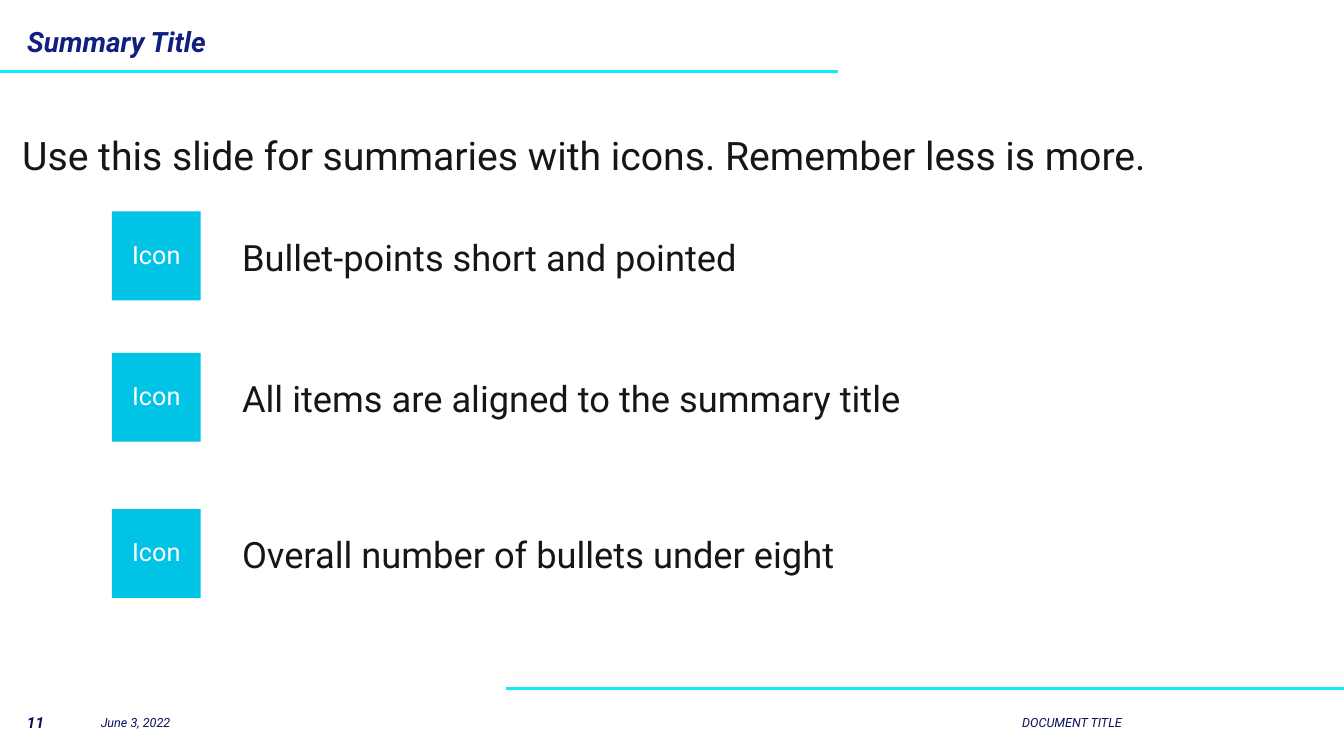
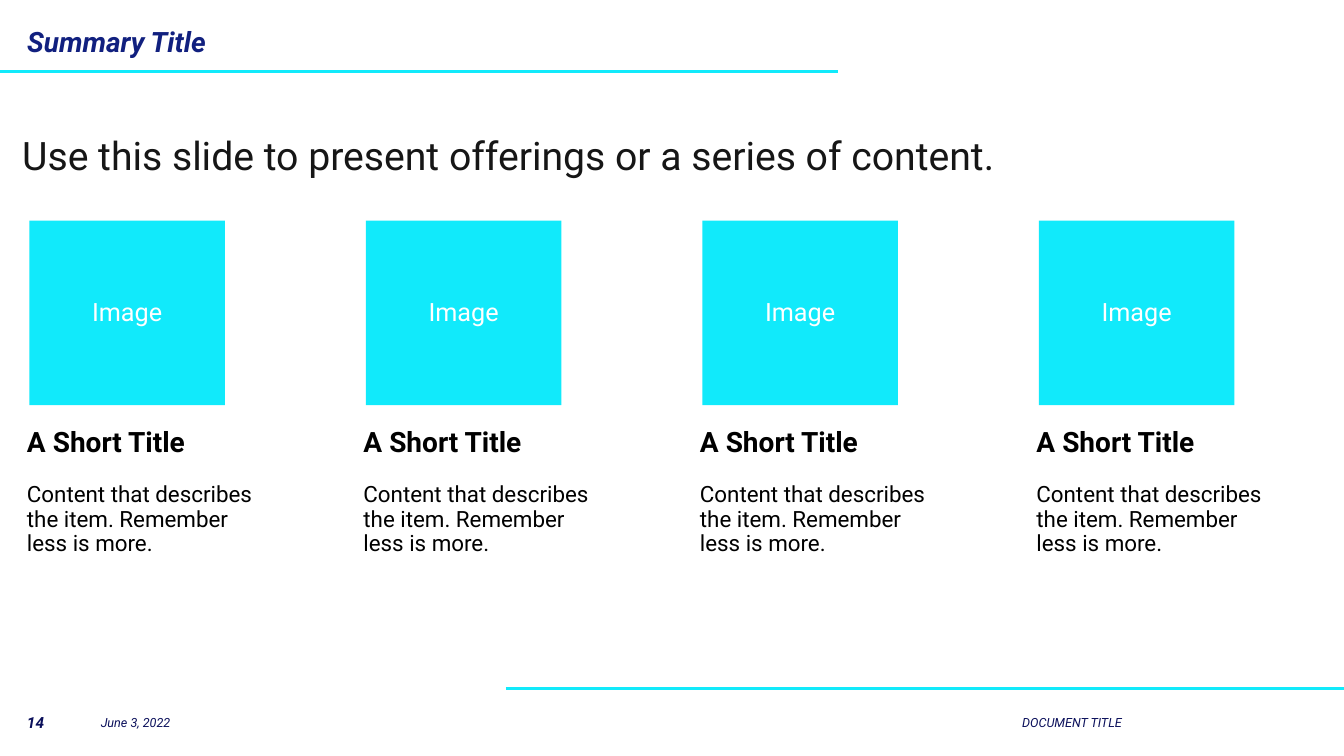
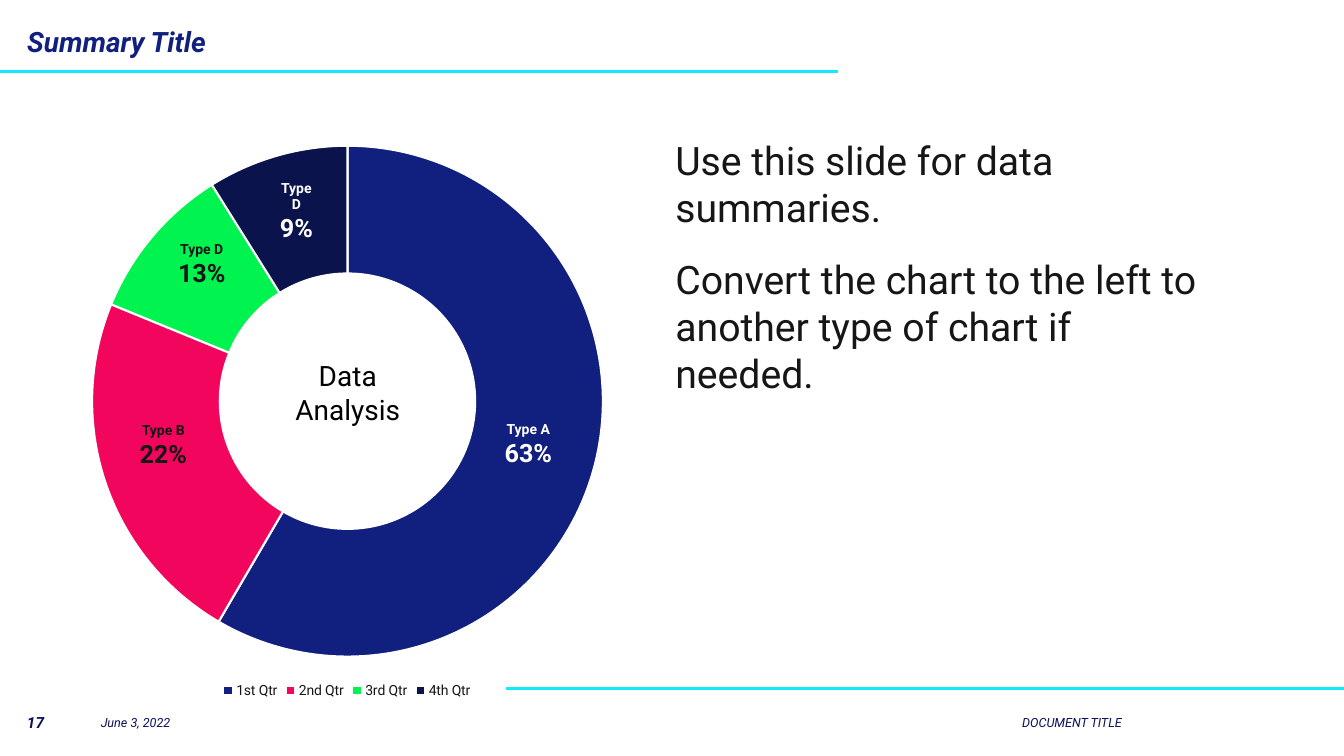
"""Build three summary slides: icon list, offerings and data analysis."""
import dataclasses

import lxml.etree
import pptx
import pptx.chart.data
import pptx.dml.color
import pptx.enum.chart
import pptx.enum.shapes
import pptx.enum.text
import pptx.oxml.ns
import pptx.util

Cm = pptx.util.Cm
Pt = pptx.util.Pt
qn = pptx.oxml.ns.qn
ALIGN = pptx.enum.text.PP_ALIGN
ANCHOR = pptx.enum.text.MSO_ANCHOR


@dataclasses.dataclass(frozen=True)
class Theme:
    """Colours, font and type sizes shared by the slides."""
    font: str = "Roboto"
    navy: str = "11207F"
    midnight: str = "0A134C"
    footer: str = "0B105B"
    cyan: str = "11EAFB"
    icon: str = "01C3E5"
    pink: str = "F2055C"
    green: str = "01F34F"
    ink: str = "161616"
    black: str = "000000"
    white: str = "FFFFFF"
    body: float = 28
    bullet: float = 25.9
    heading: float = 20
    figure: float = 18
    caption: float = 16
    page: float = 11
    small: float = 10
    foot: float = 9


T = Theme()

TITLE = "Summary Title"
DATE = "June 3, 2022"
DOCUMENT = "DOCUMENT TITLE"
TITLE_BOX = (0.43, 0.66, 33.02, 0.76)
BODY_BOX = (0.43, 3.18, 31.75, 13.34)
RULES = [(0, 21.11, 1.8), (12.75, 33.87, 17.35)]
FOOT_TOP, FOOT_HEIGHT = 17.83, 0.76

ICON_INTRO = "Use this slide for summaries with icons. Remember less is more."
ICON_ROWS = [
    (5.33, "Bullet-points short and pointed"),
    (8.89, "All items are aligned to the summary title"),
    (12.83, "Overall number of bullets under eight"),
]

OFFER_INTRO = "Use this slide to present offerings or a series of content."
OFFERS = [("A Short Title", "Content that describes the item. Remember less is more.")] * 4
OFFER_PITCH = 8.48

DATA_INTRO = [
    "Use this slide for data summaries.",
    "Convert the chart to the left to another type of chart if needed.",
]
QUARTERS = [
    ("1st Qtr", 59, T.navy),
    ("2nd Qtr", 23, T.pink),
    ("3rd Qtr", 10, T.green),
    ("4th Qtr", 9, T.midnight),
]
RING_LABELS = [
    ("Type A", "63%", T.white, 12.45, 10.46, 1.73),
    ("Type B", "22%", T.ink, 3.25, 10.49, 1.73),
    ("Type D", "13%", T.ink, 4.22, 5.94, 1.73),
    ("Type D", "9%", T.white, 6.71, 4.39, 1.52),
]
PLOT_AREA = {"x": 0.064, "y": 0.026, "w": 0.873, "h": 0.894}


def rgb(color):
    """Return a colour object for a hex string."""
    return pptx.dml.color.RGBColor.from_string(color)


def write(tf, text, size, color=T.ink, bold=False, italic=False,
          align=ALIGN.LEFT, spacing=1.0, before=0, after=0):
    """Add one formatted paragraph to a text frame."""
    first = not tf.text
    p = tf.paragraphs[0] if first else tf.add_paragraph()
    p.alignment, p.line_spacing = align, spacing
    p.space_before, p.space_after = Pt(0 if first else before), Pt(after)
    r = p.add_run()
    r.text = text
    font = r.font
    font.name, font.size, font.bold, font.italic = T.font, Pt(size), bold, italic
    font.color.rgb = rgb(color)


def frame(sp, anchor=ANCHOR.TOP, margin=None):
    """Set wrapping, anchor and margins of a shape and return its text frame."""
    tf = sp.text_frame
    tf.word_wrap = True
    tf.auto_size = pptx.enum.text.MSO_AUTO_SIZE.NONE
    tf.vertical_anchor = anchor
    if margin is not None:
        tf.margin_left = tf.margin_right = tf.margin_top = tf.margin_bottom = Cm(margin)
    return tf


def text_box(s, box, **layout):
    """Add a text box and return its text frame."""
    return frame(s.shapes.add_textbox(*map(Cm, box)), **layout)


def tile(s, box, text, fill):
    """Add a filled rectangle with a centred label."""
    sp = s.shapes.add_shape(pptx.enum.shapes.MSO_SHAPE.RECTANGLE, *map(Cm, box))
    sp.shadow.inherit = False
    sp.fill.solid()
    sp.fill.fore_color.rgb = rgb(fill)
    sp.line.fill.background()
    write(frame(sp, ANCHOR.MIDDLE, 0.38), text, T.figure, T.white,
          align=ALIGN.CENTER, spacing=0.9, after=6)


def place(sp, box):
    """Move and size a placeholder."""
    sp.left, sp.top, sp.width, sp.height = map(Cm, box)


def plain_body(prs):
    """Remove the bullet and indent from first-level body text."""
    level = prs.slide_master.element.find(".//" + qn("p:bodyStyle") + "/" + qn("a:lvl1pPr"))
    level.set("marL", "0")
    level.set("indent", "0")
    level.replace(level.find(qn("a:buChar")), lxml.etree.Element(qn("a:buNone")))


def add_rules(s, layout):
    """Draw the two cyan rules and move them to the layout."""
    for number, (start, end, y) in enumerate(RULES, 20):
        line = s.shapes.add_connector(pptx.enum.shapes.MSO_CONNECTOR.STRAIGHT,
                                      Cm(start), Cm(y), Cm(end), Cm(y))
        line.line.color.rgb = rgb(T.cyan)
        line.line.width = Pt(2.25)
        lxml.etree.SubElement(line.element.spPr, qn("a:effectLst"))
        line.element.nvCxnSpPr.cNvPr.set("id", str(number))
        layout.shapes.element.append(line.element)


def add_slide(prs, page, intro, body_box=BODY_BOX):
    """Add a slide with title, body text and footer."""
    s = prs.slides.add_slide(prs.slide_layouts[1])
    title, body = s.placeholders
    place(title, TITLE_BOX)
    write(frame(title), TITLE, T.heading, T.navy, bold=True, italic=True, spacing=0.8)
    place(body, body_box)
    tf = frame(body, margin=0.13)
    for text in intro:
        write(tf, text, T.body, before=6, after=12)
    footer = [
        (str(page), 0.43, 1.35, T.page, True, ALIGN.LEFT),
        (DATE, 2.29, 5.99, T.foot, False, ALIGN.LEFT),
        (DOCUMENT, 12.75, 15.77, T.foot, False, ALIGN.RIGHT),
    ]
    for text, left, width, size, bold, align in footer:
        tf = text_box(s, (left, FOOT_TOP, width, FOOT_HEIGHT), anchor=ANCHOR.MIDDLE)
        write(tf, text, size, T.footer, bold=bold, italic=True, align=align)
    return s


def icon_slide(prs):
    """Build the icon list."""
    s = add_slide(prs, 11, [ICON_INTRO])
    for top, text in ICON_ROWS:
        tile(s, (2.82, top, 2.24, 2.24), "Icon", T.icon)
        write(text_box(s, (5.97, top + 0.46, 19.05, 1.27), margin=0.13), text, T.bullet)
    return s


def offer_slide(prs):
    """Build the row of offerings."""
    s = add_slide(prs, 14, [OFFER_INTRO])
    for i, (heading, text) in enumerate(OFFERS):
        shift = i * OFFER_PITCH
        tile(s, (0.74 + shift, 5.56, 4.93, 4.65), "Image", T.cyan)
        tf = text_box(s, (0.43 + shift, 10.54, 6.55, 3.76), margin=0.25)
        write(tf, heading, T.heading, T.black, bold=True, spacing=0.9)
        write(tf, text, T.caption, T.black, spacing=0.9, before=18)


def add_ring(s, box):
    """Add the doughnut chart."""
    data = pptx.chart.data.CategoryChartData()
    data.categories = [name for name, _, _ in QUARTERS]
    data.add_series("Series 1", [value for _, value, _ in QUARTERS])
    chart = s.shapes.add_chart(pptx.enum.chart.XL_CHART_TYPE.DOUGHNUT,
                               *map(Cm, box), data).chart
    chart.has_title = False
    chart.font.name, chart.font.size = T.font, Pt(T.small)
    chart.font.color.rgb = rgb(T.ink)
    chart.has_legend = True
    chart.legend.position = pptx.enum.chart.XL_LEGEND_POSITION.BOTTOM
    chart.legend.include_in_layout = False
    plot = chart.plots[0]
    plot.vary_by_categories = True
    for i, (_, _, color) in enumerate(QUARTERS):
        fmt = plot.series[0].points[i].format
        fmt.fill.solid()
        fmt.fill.fore_color.rgb = rgb(color)
        fmt.line.color.rgb = rgb(T.white)
        fmt.line.width = Pt(1.5)
    chart.element.find(".//" + qn("c:holeSize")).set("val", "56")
    area = chart.element.find(".//" + qn("c:plotArea"))
    layout = area.find(qn("c:layout"))
    if layout is None:
        layout = lxml.etree.Element(qn("c:layout"))
        area.insert(0, layout)
    manual = lxml.etree.SubElement(layout, qn("c:manualLayout"))
    settings = {"layoutTarget": "inner", "xMode": "edge", "yMode": "edge", **PLOT_AREA}
    for name, value in settings.items():
        lxml.etree.SubElement(manual, qn("c:" + name)).set("val", str(value))


def data_slide(prs):
    """Build the doughnut chart with its labels."""
    s = add_slide(prs, 17, DATA_INTRO, (16.89, 3.3, 13.94, 13.21))
    add_ring(s, (1.37, 3.3, 14.76, 14.4))
    tf = text_box(s, (7.09, 9.04, 3.35, 1.7), anchor=ANCHOR.MIDDLE, margin=0)
    write(tf, "Data Analysis", T.heading, T.black, align=ALIGN.CENTER)
    for name, share, color, left, top, width in RING_LABELS:
        tf = text_box(s, (left, top, width, 1.45))
        for text, size in ((name, T.small), (share, T.figure)):
            write(tf, text, size, color, bold=True, align=ALIGN.CENTER)


def main():
    """Create and save the presentation."""
    prs = pptx.Presentation()
    prs.slide_width, prs.slide_height = Cm(33.87), Cm(19.05)
    plain_body(prs)
    add_rules(icon_slide(prs), prs.slide_layouts[1])
    offer_slide(prs)
    data_slide(prs)
    prs.save("out.pptx")


if __name__ == "__main__":
    main()
